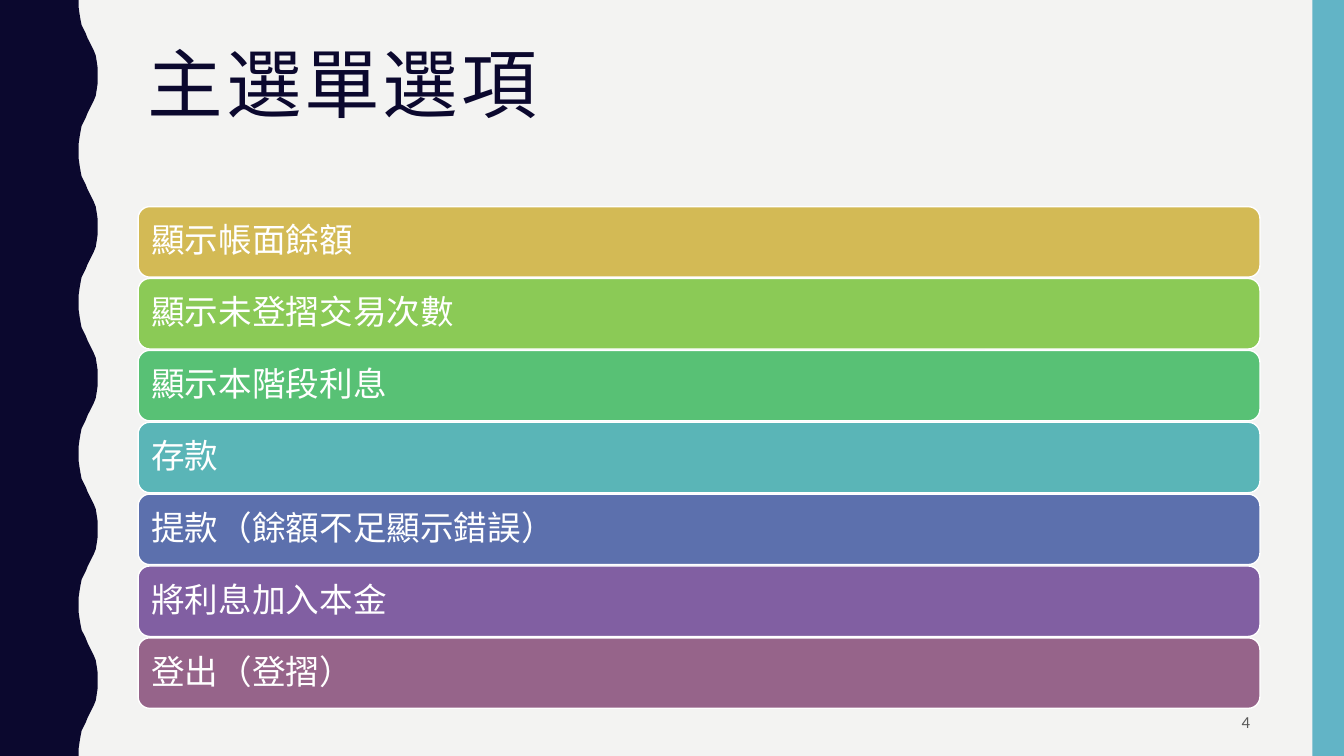
from dataclasses import dataclass
from typing import Any

from pptx import Presentation
from pptx.dml.color import RGBColor
from pptx.enum.shapes import MSO_SHAPE
from pptx.enum.text import MSO_ANCHOR, PP_ALIGN
from pptx.util import Inches, Pt

COLUMNS, ROWS = 133.33, 75
NAVY, WHITE = "0B082E", "FFFFFF"
WAVE_COUNT, WAVE_ROWS = 5, 15
HALF_WAVE = [
    (7.8, 0), (7.8, 0.7), (7.9, 1.4), (8, 2), (8.1, 2.5),
    (8.3, 2.9), (8.5, 3.3), (8.7, 3.8), (8.9, 4.2), (9.1, 4.6),
    (9.3, 5), (9.5, 5.5), (9.6, 6.1), (9.7, 6.8), (9.7, 7.5),
]
CONTENT_LEFT, CONTENT_WIDTH = 13.7, 111.3
MENU_TOP, MENU_PITCH, BAR_HEIGHT = 20.5, 7.13, 7


@dataclass(frozen=True)
class Area:
    left: float
    top: float
    width: float
    height: float

    def lengths(self) -> list[int]:
        return [grid(value) for value in (self.left, self.top, self.width, self.height)]


@dataclass(frozen=True)
class MenuOption:
    label: str
    fill: str


@dataclass(frozen=True)
class TextStyle:
    font: dict[str, Any]
    color: str
    frame: dict[str, Any]
    paragraph: dict[str, Any]
    spacing: int = 0


MENU = [
    MenuOption("顯示帳面餘額", "D3BA55"),
    MenuOption("顯示未登摺交易次數", "8BCA56"),
    MenuOption("顯示本階段利息", "58C175"),
    MenuOption("存款", "5AB5B7"),
    MenuOption("提款（餘額不足顯示錯誤）", "5C70AD"),
    MenuOption("將利息加入本金", "815FA2"),
    MenuOption("登出（登摺）", "96648A"),
]
TITLE_STYLE = TextStyle(
    {"name": "Arial Narrow", "size": Pt(54)}, NAVY,
    {"word_wrap": True, "vertical_anchor": MSO_ANCHOR.TOP},
    {"line_spacing": 0.9, "alignment": PP_ALIGN.LEFT}, 200,
)
MENU_STYLE = TextStyle(
    {"name": "Calibri", "size": Pt(24)}, WHITE,
    {"word_wrap": True, "vertical_anchor": MSO_ANCHOR.MIDDLE,
     "margin_left": Inches(0.1), "margin_right": Inches(0.1),
     "margin_top": Inches(0.1), "margin_bottom": Inches(0.1)},
    {"line_spacing": 0.9, "alignment": PP_ALIGN.LEFT},
)
NUMBER_STYLE = TextStyle(
    {"name": "Calibri", "size": Pt(12)}, "595959",
    {"word_wrap": True, "vertical_anchor": MSO_ANCHOR.MIDDLE},
    {"alignment": PP_ALIGN.RIGHT},
)


def grid(units: float) -> int:
    return Inches(units / 10)


def apply(target: Any, values: dict[str, Any]) -> None:
    for name, value in values.items():
        setattr(target, name, value)


def paint(fill: Any, color: str) -> None:
    fill.solid()
    fill.fore_color.rgb = RGBColor.from_string(color)


def finish(shape: Any, color: str, outline: str | None = None) -> None:
    shape.shadow.inherit = False
    paint(shape.fill, color)
    if outline:
        paint(shape.line.fill, outline)
        shape.line.width = Pt(1)
    else:
        shape.line.fill.background()


def write(shape: Any, text: str, style: TextStyle) -> None:
    apply(shape.text_frame, style.frame)
    paragraph = shape.text_frame.paragraphs[0]
    apply(paragraph, style.paragraph)
    run = paragraph.add_run()
    run.text = text
    apply(run.font, style.font)
    paint(run.font.fill, style.color)
    if style.spacing:
        run._r.get_or_add_rPr().set("spc", str(style.spacing))


def add_wave(slide: Any) -> None:
    falling = [(x, WAVE_ROWS - y) for x, y in reversed(HALF_WAVE[:-1])]
    edge = [
        (grid(x), grid(y + wave * WAVE_ROWS))
        for wave in range(WAVE_COUNT)
        for x, y in HALF_WAVE + falling
    ]
    builder = slide.shapes.build_freeform(0, 0)
    builder.add_line_segments(edge + [(0, grid(ROWS))], close=True)
    finish(builder.convert_to_shape(), NAVY)


def add_block(slide: Any, kind: Any, area: Area, color: str, outline: str | None = None) -> Any:
    shape = slide.shapes.add_shape(kind, *area.lengths())
    finish(shape, color, outline)
    return shape


def add_text(slide: Any, area: Area, text: str, style: TextStyle) -> None:
    write(slide.shapes.add_textbox(*area.lengths()), text, style)


presentation = Presentation()
presentation.slide_width = grid(COLUMNS)
presentation.slide_height = grid(ROWS)
slide = presentation.slides.add_slide(presentation.slide_layouts[6])
paint(slide.background.fill, "F3F3F2")

add_wave(slide)
add_block(slide, MSO_SHAPE.RECTANGLE, Area(130.2, 0, COLUMNS - 130.2, ROWS), "62B4C6")
add_text(slide, Area(CONTENT_LEFT, 4.2, CONTENT_WIDTH, 16.3), "主選單選項", TITLE_STYLE)
for index, option in enumerate(MENU):
    area = Area(CONTENT_LEFT, MENU_TOP + index * MENU_PITCH, CONTENT_WIDTH, BAR_HEIGHT)
    bar = add_block(slide, MSO_SHAPE.ROUNDED_RECTANGLE, area, option.fill, WHITE)
    write(bar, option.label, MENU_STYLE)
add_text(slide, Area(94.2, 69.7, 30.8, 3.8), "4", NUMBER_STYLE)

presentation.save("out.pptx")
